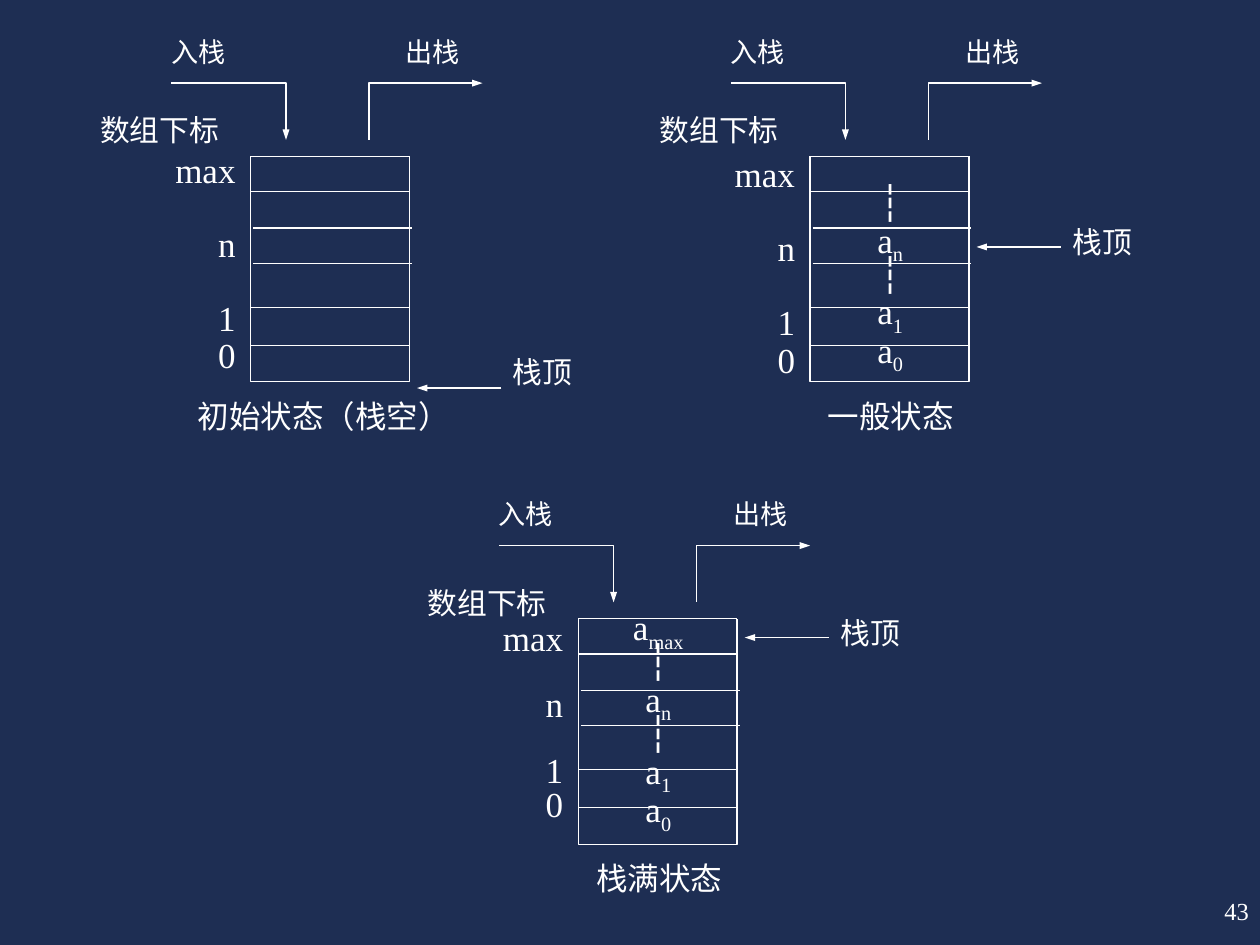
from dataclasses import dataclass

from lxml.etree import SubElement
from pptx import Presentation
from pptx.dml.color import RGBColor
from pptx.enum.shapes import MSO_CONNECTOR
from pptx.enum.text import PP_ALIGN
from pptx.oxml.ns import qn
from pptx.util import Inches, Pt


@dataclass(frozen=True)
class Theme:
    back: RGBColor = RGBColor(0x1E, 0x2E, 0x53)
    ink: RGBColor = RGBColor(0xFF, 0xFF, 0xFF)
    font: str = "Times New Roman"
    rule: float = 0.75
    cell: float = 20
    title: float = 18
    label: float = 17
    flow: float = 15.5
    page: float = 14


@dataclass(frozen=True)
class State:
    """One stack diagram; left and top mark the corner of its stack."""
    left: float
    top: float
    title: str
    align: PP_ALIGN
    arrow: float        # stack-top pointer, below top
    name: float         # stack-top label, below top
    head: float         # index heading, from top
    index: float        # index column, from top
    first: float        # line spacing of the first index
    pitch: float        # line spacing of the other indices
    cells: tuple = ()
    inset: float = 0    # cell text, from top


THEME = Theme()
WIDE, HIGH = 1.26, 1.79
RULES = ((0, 0), (0, 0.28), (0.02, 0.57), (0.02, 0.85), (0, 1.2), (0, 1.5))
LOW = ("┆", "a_n", "┆", "a_1", "a_0")
STATES = (
    State(1.99, 1.24, "初始状态（栈空）", PP_ALIGN.LEFT, 1.84, 1.6,
          -0.32, -0.06, 1, 0.9),
    State(6.43, 1.24, "一般状态", PP_ALIGN.CENTER, 0.72, 0.57,
          -0.32, 0.01, 0.9, 0.9, LOW, 0.26),
    State(4.59, 4.91, "栈满状态", PP_ALIGN.CENTER, 0.15, 0,
          -0.24, -0.05, 1.1, 0.8, ("a_max",) + LOW, -0.07),
)


def add_text(slide, box, *lines, size, align=PP_ALIGN.JUSTIFY, pitch=1,
             first=None, gaps=(), pad=(0, 0)):
    """Write lines; "a_n" sets n as a subscript, gaps lists lines set one line lower."""
    shape = slide.shapes.add_textbox(*map(Inches, box))
    frame = shape.text_frame
    frame.word_wrap = True
    frame.margin_left = frame.margin_right = Inches(pad[0])
    frame.margin_top = frame.margin_bottom = Inches(pad[1])
    for at, line in enumerate(lines):
        para = frame.add_paragraph() if at else frame.paragraphs[0]
        para.alignment = align
        para.line_spacing = pitch if at or first is None else first
        if at in gaps:
            para.space_before = Pt(size * 1.15 * pitch)
        for low, part in enumerate(line.split("_")):
            run = para.add_run()
            run.text = part
            run.font.name = THEME.font
            run.font.size = Pt(size)
            run.font.color.rgb = THEME.ink
            if low:
                run.font._element.set("baseline", "-25000")


def style_line(shape, end=None):
    """Set the stroke, with an arrowhead when end is headEnd or tailEnd."""
    shape.line.color.rgb = THEME.ink
    shape.line.width = Pt(THEME.rule)
    if end:
        SubElement(shape.line._get_or_add_ln(), qn("a:" + end),
                   type="triangle", w="sm", len="med")


def add_line(slide, start, stop, end=None):
    line = slide.shapes.add_connector(
        MSO_CONNECTOR.STRAIGHT, *map(Inches, start + stop))
    style_line(line, end)
    SubElement(line._element.spPr, qn("a:effectLst"))


def add_path(slide, points, end=None):
    start, *rest = [tuple(map(Inches, point)) for point in points]
    build = slide.shapes.build_freeform(*start)
    build.add_line_segments(rest, close=False)
    shape = build.convert_to_shape()
    shape.shadow.inherit = False
    shape.fill.background()
    style_line(shape, end)


def draw_stack(slide, state):
    x, y = state.left, state.top
    add_path(slide, ((x, y), (x, y + HIGH), (x + WIDE, y + HIGH), (x + WIDE, y)))
    if state.cells:
        add_text(slide, (x + 0.07, y + state.inset, 1.13, 1.6), *state.cells,
                 size=THEME.cell, align=PP_ALIGN.CENTER, pitch=0.8)
    for shift, drop in RULES:
        add_line(slide, (x + shift, y + drop), (x + shift + WIDE, y + drop))


def draw_flow(slide, x, y):
    """Draw the push and pop arrows above a stack."""
    high, low = y - 0.58, y - 0.13
    flows = (("入栈", -0.63, -0.63, 0.28, "tailEnd"),
             ("出栈", 1.23, 1.84, 0.94, "headEnd"))
    for name, text, far, near, end in flows:
        add_path(slide, ((x + far, high), (x + near, high), (x + near, low)), end)
        add_text(slide, (x + text, y - 0.91, 0.86, 0.28), name,
                 size=THEME.flow, pitch=0.8)


def draw_state(slide, state):
    x, y = state.left, state.top
    draw_stack(slide, state)
    draw_flow(slide, x, y)
    add_line(slide, (x + 1.99, y + state.arrow), (x + 1.32, y + state.arrow),
             "tailEnd")
    add_text(slide, (x + 2.08, y + state.name, 1.49, 0.29), "栈顶",
             size=THEME.label, pitch=0.9)
    add_text(slide, (x - 1.74, y + state.head, 1.49, 0.29), "数组下标",
             size=THEME.label, align=PP_ALIGN.RIGHT, pitch=0.9)
    add_text(slide, (x - 0.69, y + state.index, 0.57, 1.88),
             "max", "n", "1", "0", size=THEME.cell, align=PP_ALIGN.RIGHT,
             pitch=state.pitch, first=state.first, gaps=(1, 2))
    add_text(slide, (x - 0.42, y + 1.91, 2.12, 0.51), state.title,
             size=THEME.title, align=state.align)


def main():
    deck = Presentation()
    deck.slide_width, deck.slide_height = Inches(10), Inches(7.5)
    slide = deck.slides.add_slide(deck.slide_layouts[6])
    slide.background.fill.solid()
    slide.background.fill.fore_color.rgb = THEME.back
    for state in STATES:
        draw_state(slide, state)
    add_text(slide, (9.46, 7.06, 0.55, 0.34), "43", size=THEME.page,
             align=PP_ALIGN.RIGHT, pad=(0.1, 0.05))
    deck.save("out.pptx")


if __name__ == "__main__":
    main()
